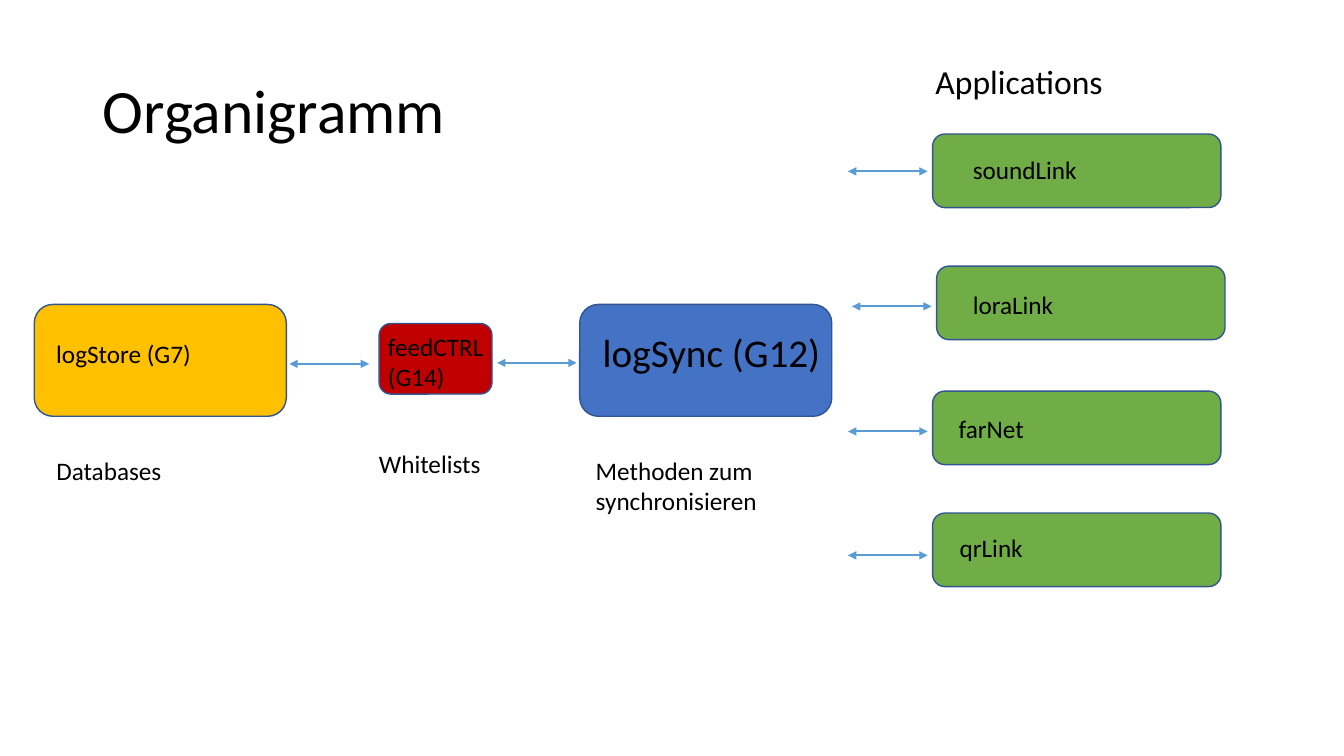
from lxml import etree
from pptx import Presentation
from pptx import util as u
from pptx.dml.color import RGBColor
from pptx.enum import shapes, text
from pptx.oxml.ns import qn

PX = 9144  # EMU per px, 100 px to the inch
ARROW_LENGTH = 79
CAPTION_WIDTH = 238
APP_WIDTH, APP_HEIGHT = 286, 73

# name, fill, box, label offset and width, label size, caption, caption offset, arrow offset
STAGES = [
    ("logStore (G7)", "FFC000", (34, 302, 250, 111), (12, 29, 200), 18,
     "Databases", (12, 145), (253, 59)),
    ("feedCTRL\n(G14)", "C00000", (376, 321, 112, 70), (-1, 3, 126), 18,
     "Whitelists", (-10, 119), (117, 39)),
    ("logSync (G12)", "4472C4", (575, 302, 250, 111), (13, 19, 280), 28,
     "Methoden zum synchronisieren", (6, 145), None),
]
# name, box left and top, label offset, arrow drop
APPS = [
    ("soundLink", (925, 133), (30, 15), 37),
    ("loraLink", (929, 264), (26, 18), 40),
    ("farNet", (925, 388), (16, 17), 40),
    ("qrLink", (925, 509), (17, 14), 42),
]


def emu(*lengths):
    return [u.Emu(length * PX) for length in lengths]


def color(hex_value):
    return RGBColor.from_string(hex_value)


def add_text(s, wording, x, y, w, h, size=18):
    tf = s.shapes.add_textbox(*emu(x, y, w, h)).text_frame
    tf.word_wrap = True
    tf.text = wording
    for p in tf.paragraphs:
        p.font.size = u.Pt(size)
        for r in p.runs:
            r.font.name = "Calibri"
            r.font.size = u.Pt(size)
            r.font.color.rgb = color("000000")
    return tf


def add_box(s, x, y, w, h, fill):
    sp = s.shapes.add_shape(shapes.MSO_SHAPE.ROUNDED_RECTANGLE, *emu(x, y, w, h))
    sp.shadow.inherit = False
    sp.fill.solid()
    sp.fill.fore_color.rgb = color(fill)
    sp.line.color.rgb = color("325491")
    sp.line.width = u.Pt(1)


def add_arrow(s, x, y):
    arrow = s.shapes.add_connector(
        shapes.MSO_CONNECTOR.STRAIGHT, *emu(x, y, x + ARROW_LENGTH, y))
    arrow.line.color.rgb = color("5B9BD5")
    arrow.line.width = u.Pt(1.5)
    ln = arrow.line._get_or_add_ln()
    for end in ("a:headEnd", "a:tailEnd"):
        etree.SubElement(ln, qn(end), type="triangle")
    etree.SubElement(arrow._element.spPr, qn("a:effectLst"))


def add_title(s, x, y, w, h):
    tf = add_text(s, "Organigramm", x, y, w, h, 44)
    tf.vertical_anchor = text.MSO_ANCHOR.MIDDLE
    tf.paragraphs[0].line_spacing = 0.9


def add_stage(s, name, fill, box, label, size, caption, caption_at, arrow_at):
    x, y, w, h = box
    add_box(s, x, y, w, h, fill)
    dx, dy, label_width = label
    add_text(s, name, x + dx, y + dy, label_width, 40, size)
    dx, dy = caption_at
    add_text(s, caption, x + dx, y + dy, CAPTION_WIDTH, 40)
    if arrow_at:
        dx, dy = arrow_at
        add_arrow(s, x + dx, y + dy)


def add_app(s, name, corner, label_at, arrow_drop):
    x, y = corner
    add_box(s, x, y, APP_WIDTH, APP_HEIGHT, "70AD47")
    dx, dy = label_at
    add_text(s, name, x + dx, y + dy, 227, 40)
    add_arrow(s, x - 84, y + arrow_drop)


def main():
    prs = Presentation()
    prs.slide_width, prs.slide_height = emu(1333, 750)
    s = prs.slides.add_slide(prs.slide_layouts[6])

    # Title
    add_title(s, 92, 40, 1150, 145)

    # Chain of stages, left to right
    for stage in STAGES:
        add_stage(s, *stage)

    # Column of applications
    add_text(s, "Applications", 918, 56, 323, 50, 24)
    for app in APPS:
        add_app(s, *app)

    prs.save("out.pptx")


if __name__ == "__main__":
    main()
